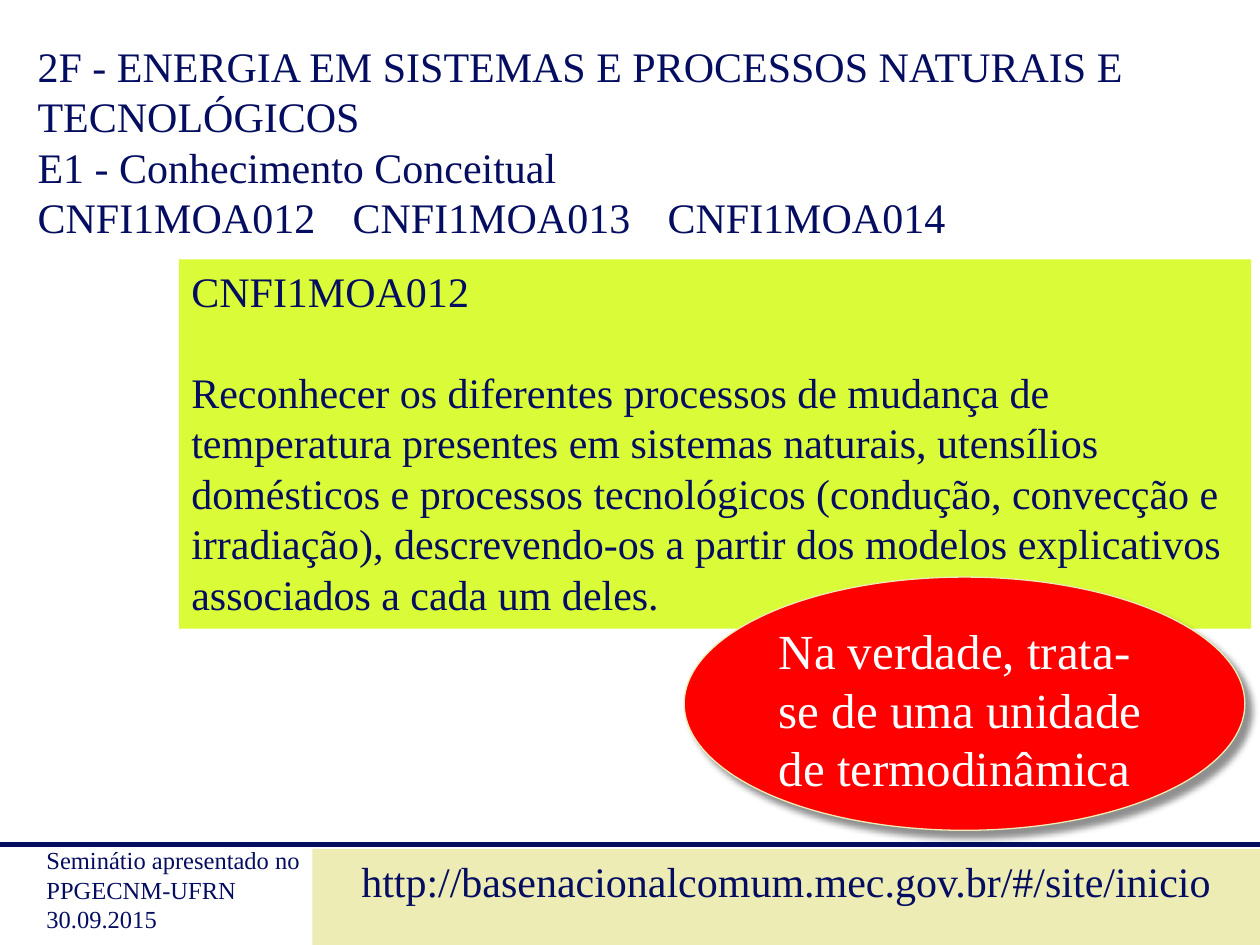
from dataclasses import dataclass
from typing import Optional

from lxml.etree import SubElement
from pptx import Presentation
from pptx.dml.color import RGBColor
from pptx.enum.shapes import MSO_CONNECTOR, MSO_SHAPE
from pptx.enum.text import MSO_ANCHOR, PP_ALIGN
from pptx.oxml.ns import qn
from pptx.util import Inches, Pt

COLORS = {
    "navy": "040D60",
    "lime": "DAFB37",
    "red": "FF0000",
    "sand": "EDECB4",
    "white": "FFFFFF",
    "shadow": "000000",
}
FONT = "Times New Roman"
LINE_FACTOR = 1.2


@dataclass
class Panel:
    left: float
    top: float
    width: float
    height: float
    lines: list[str]
    size: int = 24
    text_color: str = "navy"
    fill: Optional[str] = None
    outline: Optional[str] = None
    geometry: MSO_SHAPE = MSO_SHAPE.RECTANGLE
    align: PP_ALIGN = PP_ALIGN.LEFT
    gap: float = 0  # points between paragraphs


PANELS = [
    Panel(0.27, 6.66, 3.74, 0.81,
          ["Seminátio apresentado no", "PPGECNM-UFRN", "30.09.2015"], size=14),
    Panel(0.2, 0.27, 9.61, 1.72,
          ["2F - ENERGIA EM SISTEMAS E PROCESSOS NATURAIS E TECNOLÓGICOS",
           "E1 - Conhecimento Conceitual",
           "CNFI1MOA012\tCNFI1MOA013\tCNFI1MOA014"]),
    Panel(1.42, 2.06, 8.51, 2.93,
          ["CNFI1MOA012",
           "Reconhecer os diferentes processos de mudança de temperatura "
           "presentes em sistemas naturais, utensílios domésticos e processos "
           "tecnológicos (condução, convecção e irradiação), descrevendo-os a "
           "partir dos modelos explicativos associados a cada um deles."],
          fill="lime", gap=24 * LINE_FACTOR),
    Panel(5.43, 4.58, 4.45, 2.01,
          ["Na verdade, trata-se de uma unidade de termodinâmica"],
          size=28, text_color="white", fill="red", outline="sand",
          geometry=MSO_SHAPE.OVAL),
    Panel(2.48, 6.74, 7.52, 0.76,
          ["http://basenacionalcomum.mec.gov.br/#/site/inicio"],
          fill="sand", align=PP_ALIGN.CENTER),
]


def rgb(name: str) -> RGBColor:
    return RGBColor.from_string(COLORS[name])


def add_shadow(shape) -> None:
    """Give the shape a soft shadow towards the lower right."""
    effects = shape._element.spPr.find(qn("a:effectLst"))
    shadow = SubElement(effects, qn("a:outerShdw"), blurRad=str(Pt(4)),
                        dist=str(Pt(5)), dir="2700000", algn="tl",
                        rotWithShape="0")
    color = SubElement(shadow, qn("a:srgbClr"), val=COLORS["shadow"])
    SubElement(color, qn("a:alpha"), val="43000")


def write_text(frame, panel: Panel) -> None:
    frame.word_wrap = True
    frame.vertical_anchor = MSO_ANCHOR.TOP
    for index, line in enumerate(panel.lines):
        paragraph = frame.paragraphs[0] if index == 0 else frame.add_paragraph()
        paragraph.text = line
        paragraph.alignment = panel.align
        paragraph.line_spacing = Pt(panel.size * LINE_FACTOR)
        if index and panel.gap:
            paragraph.space_before = Pt(panel.gap)
        paragraph.font.name = FONT
        paragraph.font.size = Pt(panel.size)
        paragraph.font.color.rgb = rgb(panel.text_color)


def draw_panel(slide, panel: Panel) -> None:
    """Draw a filled shape, or a plain text box when there is no fill."""
    box = [Inches(v) for v in (panel.left, panel.top, panel.width, panel.height)]
    if panel.fill is None:
        shape = slide.shapes.add_textbox(*box)
    else:
        shape = slide.shapes.add_shape(panel.geometry, *box)
        shape.fill.solid()
        shape.fill.fore_color.rgb = rgb(panel.fill)
        if panel.outline:
            shape.line.color.rgb = rgb(panel.outline)
            shape.line.width = Pt(0.75)
        else:
            shape.line.fill.background()
        shape.shadow.inherit = False
        if panel.outline:
            add_shadow(shape)
    write_text(shape.text_frame, panel)


def draw_footer_rule(slide) -> None:
    rule = slide.shapes.add_connector(MSO_CONNECTOR.STRAIGHT, Inches(0),
                                      Inches(6.7), Inches(10), Inches(6.7))
    rule.line.color.rgb = rgb("navy")
    rule.line.width = Pt(3)
    SubElement(rule._element.spPr, qn("a:effectLst"))


def main() -> None:
    deck = Presentation()
    deck.slide_width, deck.slide_height = Inches(10), Inches(7.5)
    slide = deck.slides.add_slide(deck.slide_layouts[6])
    draw_footer_rule(slide)
    for panel in PANELS:
        draw_panel(slide, panel)
    deck.save("out.pptx")


if __name__ == "__main__":
    main()
